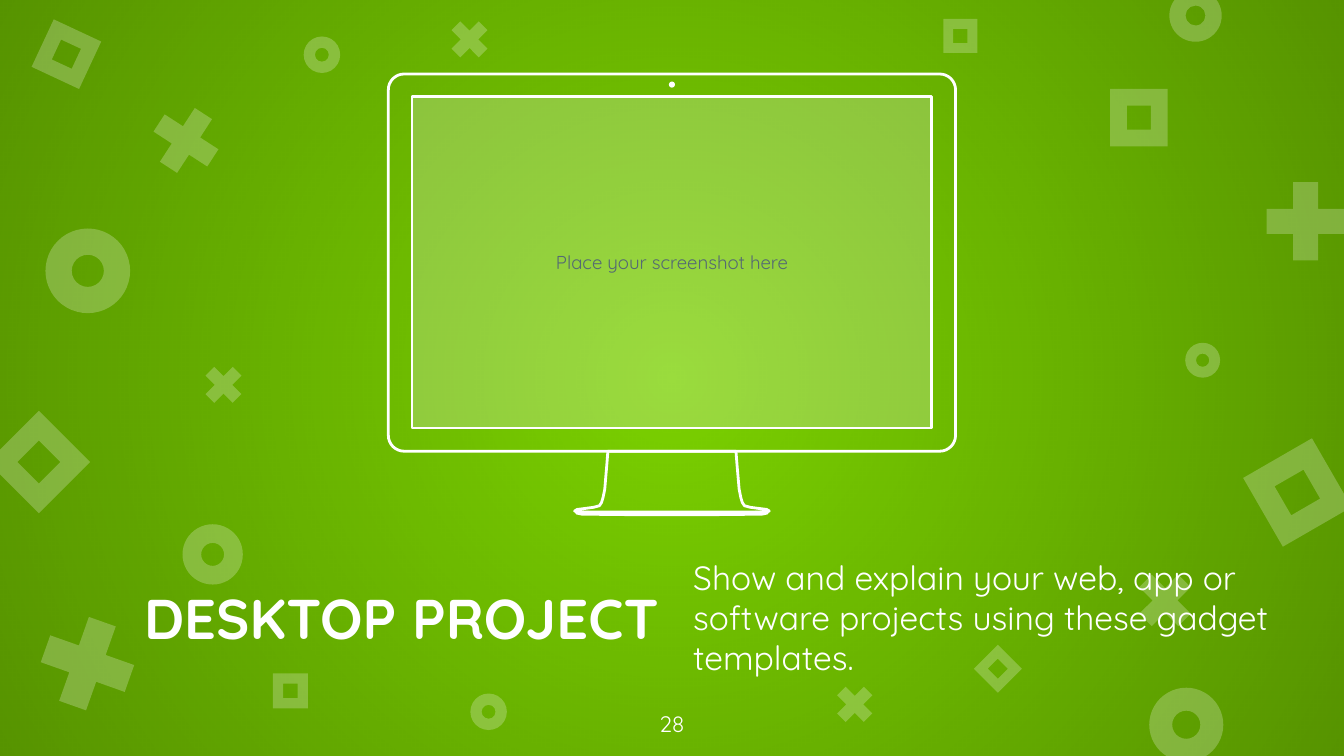
from math import cos, pi, sin

from lxml import etree
from pptx import Presentation
from pptx.dml.color import RGBColor
from pptx.enum.shapes import MSO_SHAPE
from pptx.enum.text import MSO_ANCHOR, MSO_AUTO_SIZE, PP_ALIGN
from pptx.oxml import parse_xml
from pptx.oxml.ns import nsdecls, qn
from pptx.util import Cm, Pt

DONUT, FRAME, CROSS = MSO_SHAPE.DONUT, MSO_SHAPE.FRAME, MSO_SHAPE.MATH_MULTIPLY
RECTANGLE = MSO_SHAPE.RECTANGLE
LEFT, CENTER, RIGHT = PP_ALIGN.LEFT, PP_ALIGN.CENTER, PP_ALIGN.RIGHT
TOP, MIDDLE = MSO_ANCHOR.TOP, MSO_ANCHOR.MIDDLE

FONT = "Quicksand"
COLORS = {"green": "7BD100", "white": "FFFFFF", "slate": "546973", "shade": "000000"}
VEIL = 24  # opacity of ornaments and screen, percent

# Content
TITLE = "DESKTOP PROJECT"
BODY = "Show and explain your web, app or software projects using these gadget templates."
SCREEN_HINT = "Place your screenshot here"
PAGE_NUMBER = "28"

# Geometry in centimetres
WIDTH, HEIGHT = 25.4, 14.29
MIDLINE = WIDTH / 2
TITLE_BOX = (0.86, 9.53, 11.84, 4.27)
BODY_BOX = (12.85, 9.53, 11.68, 4.27)
NUMBER_BOX = (11.94, 13.18, 1.52, 1.09)

# Ornaments: adjustment, then (left, top, size, rotation)
ORNAMENTS = {
    DONUT: (0.31, [
        (21.72, 13, 1.4, 0), (0.86, 4.32, 1.6, 0), (3.45, 9.91, 1.14, 0),
        (22.1, -0.2, 0.99, 0), (5.74, 0.69, 0.69, 0), (22.4, 6.48, 0.66, 0),
        (8.89, 13.11, 0.69, 0)]),
    FRAME: (0.29, [
        (0.05, 8.05, 1.37, 45), (23.77, 8.56, 1.5, 330), (20.98, 1.68, 1.09, 0),
        (0.76, 0.53, 0.99, 25), (5.16, 12.73, 0.66, 0), (18.54, 12.32, 0.64, 315),
        (17.83, 0.36, 0.64, 0)]),
    CROSS: (0.235, [
        (23.67, 3.18, 2.01, 45), (0.51, 11.4, 2.29, 334.5), (2.69, 1.83, 1.65, 348),
        (21.31, 10.64, 1.42, 0), (8.38, 0.25, 0.99, 0), (3.73, 6.78, 0.99, 0),
        (15.67, 12.83, 0.97, 0)]),
}

# Monitor: half widths are measured from the midline
CASE = {"half": 5.36, "top": 1.4, "bottom": 8.53, "radius": 0.3}
SCREEN = {"half": 4.91, "top": 1.83, "bottom": 8.09}
CAMERA = {"y": 1.6, "radius": 0.03}
STAND = [(1.21, 8.53), (1.23, 8.79), (1.25, 9.02), (1.27, 9.25), (1.3, 9.4),
         (1.33, 9.5), (1.37, 9.56), (1.48, 9.59), (1.63, 9.61), (1.79, 9.63),
         (1.84, 9.66), (1.78, 9.68)]
FOOT = [(0.69, 9.7), (1.45, 9.69), (1.8, 9.68), (1.8, 9.7), (1.7, 9.72), (0.69, 9.73)]


def rgb(name):
    return RGBColor.from_string(COLORS[name])


def lengths(box):
    return [Cm(value) for value in box]


def add_plain(page, kind, box):
    shape = page.shapes.add_shape(kind, *lengths(box))
    shape.shadow.inherit = False
    shape.line.fill.background()
    return shape


def fill_veil(shape):
    shape.fill.solid()
    shape.fill.fore_color.rgb = rgb("white")
    color = shape.element.spPr.find(qn("a:solidFill"))[0]
    etree.SubElement(color, qn("a:alpha")).set("val", str(VEIL * 1000))


def write(shape, text, size, color="white", align=LEFT, anchor=MIDDLE, bold=False, before=0):
    frame = shape.text_frame
    frame.text = text
    frame.word_wrap = True
    frame.auto_size = MSO_AUTO_SIZE.NONE
    frame.vertical_anchor = anchor
    frame.margin_left = frame.margin_right = Cm(0.25)
    frame.margin_top = frame.margin_bottom = Cm(0.25)
    para = frame.paragraphs[0]
    para.alignment = align
    para.space_before = Pt(before)
    font = para.runs[0].font
    font.name, font.size, font.bold = FONT, Pt(size), bold
    font.color.rgb = rgb(color)


def place(shape, box):
    """Position a placeholder and bring it to the front."""
    shape.left, shape.top, shape.width, shape.height = lengths(box)
    shape.element.getparent().append(shape.element)


def arc(x, y, radius, start, sweep, steps):
    angles = [start + sweep * step / steps for step in range(steps + 1)]
    return [(x + radius * cos(a), y + radius * sin(a)) for a in angles]


def mirrored(half):
    """Close a right-hand profile with its reflection in the midline."""
    return ([(MIDLINE + x, y) for x, y in half]
            + [(MIDLINE - x, y) for x, y in reversed(half)])


def monitor_contours():
    radius, inset = CASE["radius"], CASE["half"] - CASE["radius"]
    case = (arc(inset, CASE["top"] + radius, radius, -pi / 2, pi / 2, 8)
            + arc(inset, CASE["bottom"] - radius, radius, 0, pi / 2, 8))
    screen = [(SCREEN["half"], SCREEN["top"]), (SCREEN["half"], SCREEN["bottom"])]
    camera = arc(MIDLINE, CAMERA["y"], CAMERA["radius"], 0, 2 * pi, 16)
    return [camera] + [mirrored(half) for half in (screen, case, STAND, FOOT)]


def add_monitor(page):
    contours = [[(Cm(x), Cm(y)) for x, y in contour] for contour in monitor_contours()]
    builder = page.shapes.build_freeform(*contours[0][0])
    for index, contour in enumerate(contours):
        if index:
            builder.move_to(*contour[0])
        builder.add_line_segments(contour[1:], close=True)
    monitor = builder.convert_to_shape()
    monitor.shadow.inherit = False
    monitor.fill.background()
    monitor.line.color.rgb = rgb("white")
    monitor.line.width = Pt(1.5)


def add_vignette(page):
    shape = add_plain(page, RECTANGLE, (0, 0, WIDTH, HEIGHT))
    stops = "".join(
        f'<a:gs pos="{pos}"><a:srgbClr val="{COLORS["shade"]}">'
        f'<a:alpha val="{alpha}"/></a:srgbClr></a:gs>'
        for pos, alpha in ((0, 0), (100000, 30000)))
    gradient = parse_xml(
        f'<a:gradFill {nsdecls("a")}><a:gsLst>{stops}</a:gsLst><a:path path="circle">'
        '<a:fillToRect l="50000" t="50000" r="50000" b="50000"/></a:path></a:gradFill>')
    shape.element.spPr.find(qn("a:prstGeom")).addnext(gradient)


def main():
    deck = Presentation()
    deck.slide_width, deck.slide_height = Cm(WIDTH), Cm(HEIGHT)
    page = deck.slides.add_slide(deck.slide_layouts[1])
    page.background.fill.solid()
    page.background.fill.fore_color.rgb = rgb("green")

    # Backdrop
    add_vignette(page)
    for kind, (adjustment, spots) in ORNAMENTS.items():
        for left, top, size, rotation in spots:
            ornament = add_plain(page, kind, (left, top, size, size))
            ornament.adjustments[0] = adjustment
            ornament.rotation = rotation
            fill_veil(ornament)

    # Monitor and screen
    add_monitor(page)
    screen = add_plain(page, RECTANGLE, (
        MIDLINE - SCREEN["half"], SCREEN["top"],
        2 * SCREEN["half"], SCREEN["bottom"] - SCREEN["top"]))
    fill_veil(screen)
    write(screen, SCREEN_HINT, 10, color="slate", align=CENTER)

    # Title, description and page number
    title, body = page.shapes.title, page.placeholders[1]
    place(title, TITLE_BOX)
    write(title, TITLE, 30, align=RIGHT, bold=True, before=6)
    place(body, BODY_BOX)
    write(body, BODY, 18, before=6)
    settings = body.text_frame.paragraphs[0]._p.get_or_add_pPr()
    settings.set("marL", "0")
    settings.set("indent", "0")
    etree.SubElement(settings, qn("a:buNone"))
    number = page.shapes.add_textbox(*lengths(NUMBER_BOX))
    write(number, PAGE_NUMBER, 12, align=CENTER, anchor=TOP)

    deck.save("out.pptx")


if __name__ == "__main__":
    main()
